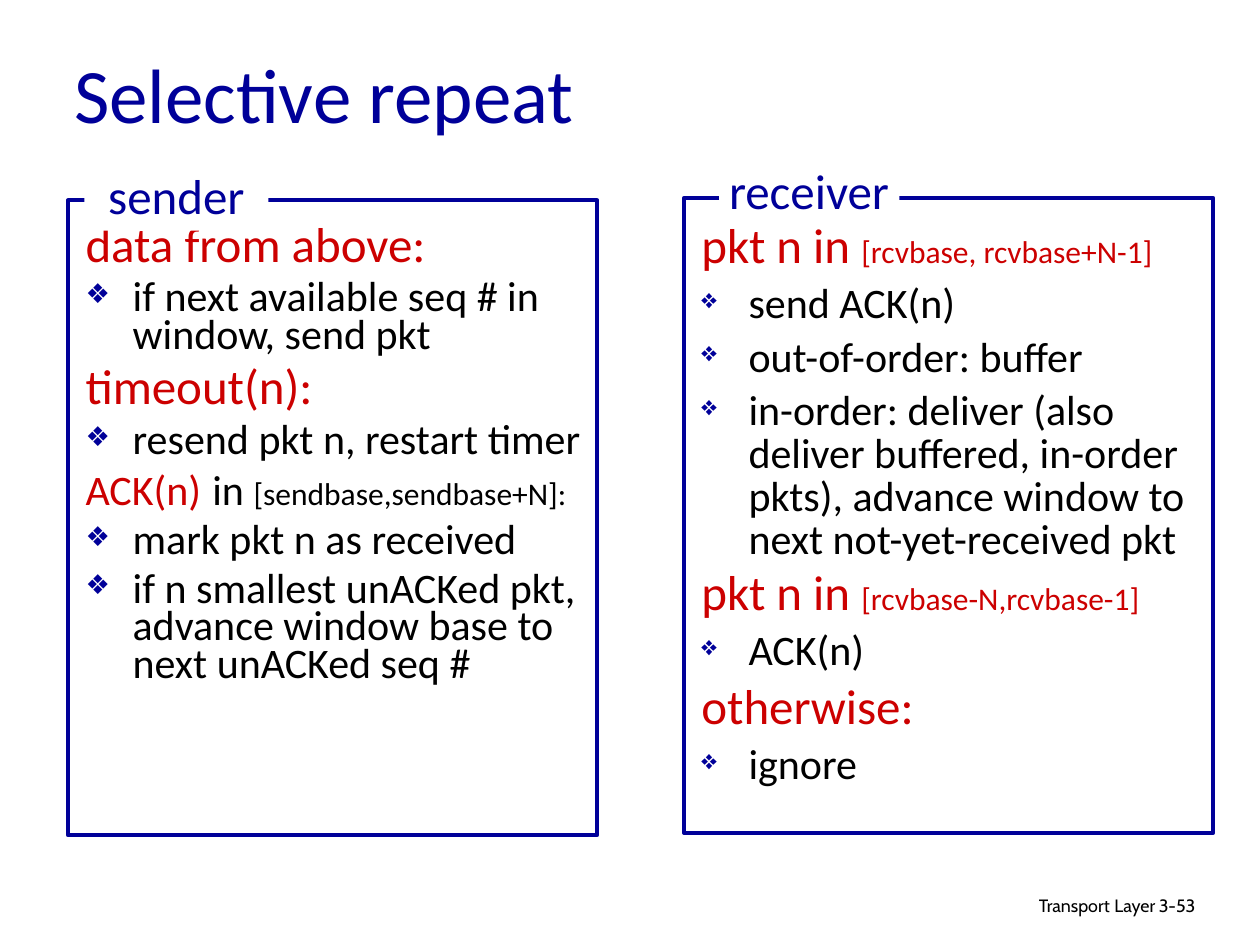
from lxml.etree import SubElement
from pptx import Presentation
from pptx.dml.color import RGBColor
from pptx.enum.shapes import MSO_SHAPE as Shape
from pptx.enum.text import MSO_ANCHOR as Anchor, MSO_AUTO_SIZE as Fit, PP_ALIGN as Align
from pptx.oxml.ns import qn
from pptx.util import Cm, Pt

NAVY, RED, BLACK, WHITE = "000099", "CC0000", "000000", "FFFFFF"


def rgb(code):
    return RGBColor.from_string(code)


def write(par, text, size, color, face="Calibri"):
    run = par.add_run()
    run.text = text
    for key, val in {"size": Pt(size), "name": face}.items():
        setattr(run.font, key, val)
    run.font.color.rgb = rgb(color)


deck = Presentation()
deck.slide_width, deck.slide_height = Cm(25.4), Cm(19.05)
slide = deck.slides.add_slide(deck.slide_layouts[1])
shapes = slide.shapes

# Title
title, body = slide.placeholders
title.left, title.top, title.width, title.height = Cm(1.24), Cm(0.69), Cm(21.59), Cm(2.34)
title.text_frame.auto_size = Fit.NONE
title.text_frame.vertical_anchor = Anchor.MIDDLE
head = title.text_frame.paragraphs[0]
head.alignment = Align.LEFT
write(head, "Selective repeat", 44, NAVY)

# Each paragraph: bulleted or not, space before, runs
send = [
    (False, 0, [("data from above:", 28, RED)]),
    (True, 6, [("if next available seq # in window, send pkt", 24, BLACK)]),
    (False, 7, [("timeout(n):", 28, RED)]),
    (True, 6, [("resend pkt n, restart timer", 24, BLACK)]),
    (False, 4.5, [("ACK(n)", 24, RED), (" ", 28, RED), ("in ", 24, BLACK),
                  ("[sendbase,sendbase+N]:", 18, BLACK)]),
    (True, 6, [("mark pkt n as received", 24, BLACK)]),
    (True, 6, [("if n smallest unACKed pkt, advance window base to next unACKed seq #",
                24, BLACK)]),
]
recv = [
    (False, 0, [("pkt n in ", 28, RED), ("[rcvbase, rcvbase+N-1]", 18, RED)]),
    (True, 6, [("send ACK(n)", 24, BLACK)]),
    (True, 6, [("out-of-order: buffer", 24, BLACK)]),
    (True, 6, [("in-order: deliver (also deliver buffered, in-order pkts), "
                "advance window to next not-yet-received pkt", 24, BLACK)]),
    (False, 4.5, [("pkt n in ", 28, RED), ("[rcvbase-N,rcvbase-1]", 18, RED)]),
    (True, 6, [("ACK(n)", 24, BLACK)]),
    (False, 6, [("otherwise:", 28, RED)]),
    (True, 6, [("ignore", 24, BLACK)]),
]

# Panels: list, frame corner, gap in the frame, label
panels = [
    (send, 0.75, body, (1.47, 4.45), (1.37, 4.04), (1.7, 3.2, 3.71, 1.45),
     "sender", (1.7, 3.2, 3.71, 1.45)),
    (recv, 0.85, None, (13.89, 4.39), (13.79, 3.99), (14.5, 3.61, 3.63, 0.79),
     "receiver", (14.2, 3.12, 4.22, 1.45)),
]
for items, pitch, box, spot, corner, gap, name, place in panels:
    area = [Cm(n) for n in (*spot, 10.59, 12.9)]
    if box is None:
        box = shapes.add_textbox(*area)
    else:
        box.left, box.top, box.width, box.height = area
    frame = box.text_frame
    frame.word_wrap, frame.auto_size = True, Fit.NONE
    for i, (dot, before, runs) in enumerate(items):
        par = frame.add_paragraph() if i else frame.paragraphs[0]
        props = par._p.get_or_add_pPr()
        props.set("marL", str(Cm(0.95)))
        props.set("indent", str(Cm(-0.95)))
        if dot:
            tint = SubElement(props, qn("a:buClr"))
            SubElement(tint, qn("a:srgbClr"), val=NAVY)
            SubElement(props, qn("a:buSzPct"), val="65000")
            SubElement(props, qn("a:buChar"), char="❖")
        else:
            SubElement(props, qn("a:buNone"))
        par.line_spacing, par.space_before = pitch, Pt(before)
        for run in runs:
            write(par, *run)

    rim = shapes.add_shape(Shape.RECTANGLE, *[Cm(n) for n in (*corner, 10.67, 12.8)])
    rim.shadow.inherit = False
    rim.fill.background()
    rim.line.color.rgb, rim.line.width = rgb(NAVY), Pt(2.25)

    mask = shapes.add_shape(Shape.RECTANGLE, *[Cm(n) for n in gap])
    mask.shadow.inherit = False
    mask.fill.solid()
    mask.fill.fore_color.rgb = rgb(WHITE)
    mask.line.fill.background()

    label = mask if place == gap else shapes.add_textbox(*[Cm(n) for n in place])
    label.text_frame.word_wrap = False
    par = label.text_frame.paragraphs[0]
    par.alignment = Align.CENTER
    write(par, name, 28, NAVY)

# Footer
feet = [
    ((15.49, 17.91, 8.05, 0.79), Align.RIGHT, [("Transport", 10.2), (" ", 11.9), ("Layer", 10.2)]),
    ((23.11, 17.96, 1.88, 0.76), Align.LEFT, [("3-53", 10.2)]),
]
for place, side, runs in feet:
    foot = shapes.add_textbox(*[Cm(n) for n in place]).text_frame
    foot.word_wrap = True
    par = foot.paragraphs[0]
    par.alignment, par.line_spacing = side, 0.9
    for text, size in runs:
        write(par, text, size, BLACK, "Cabin")

deck.save("out.pptx")
